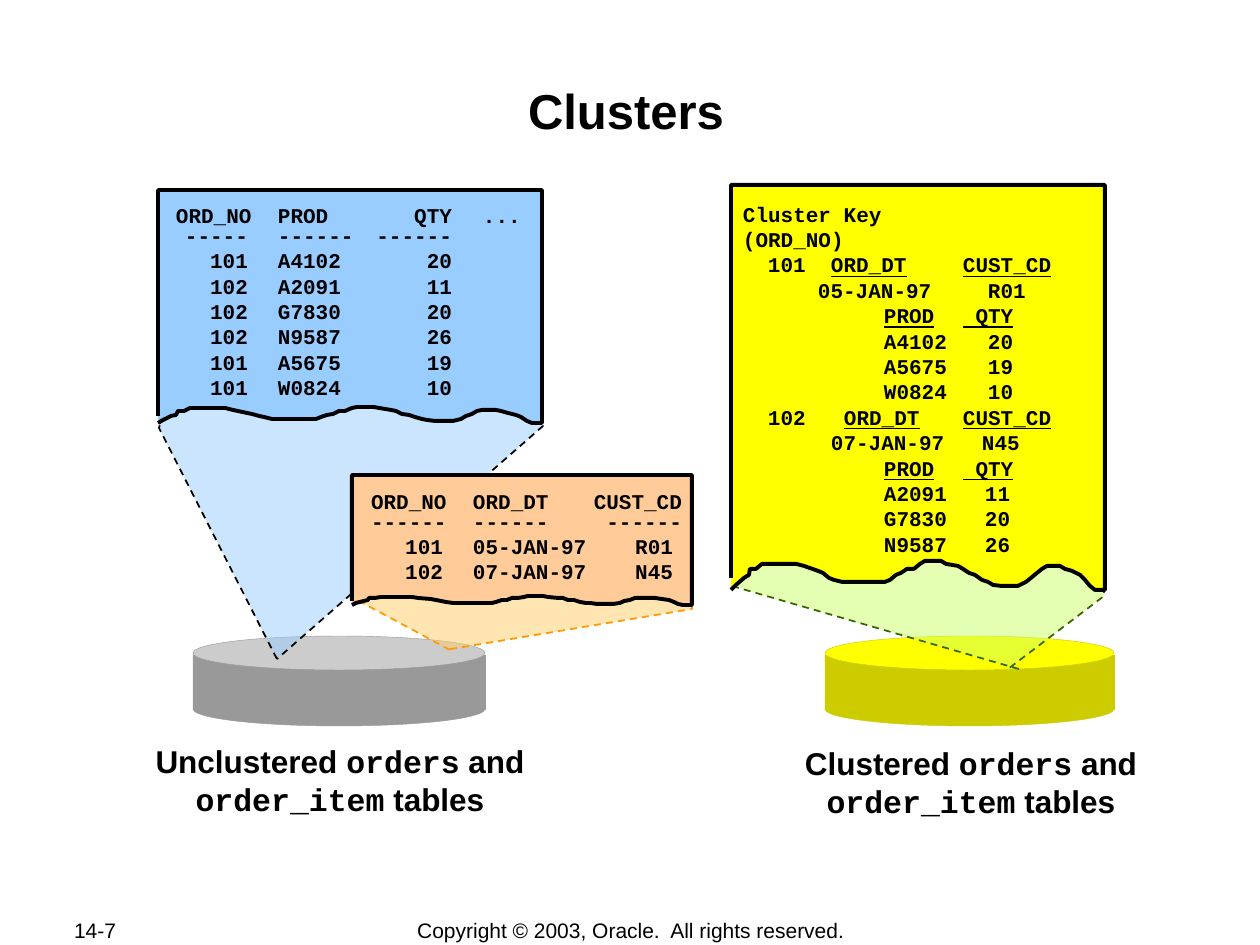
"""Build the Clusters slide comparing unclustered and clustered order tables."""
from dataclasses import dataclass
from typing import NamedTuple

from lxml import etree
from pptx import Presentation
from pptx import util as u
from pptx.dml.color import RGBColor
from pptx.enum import dml, shapes, text
from pptx.oxml import ns

SCALE = u.Inches(1) / 126
COLORS = {
    "black": "000000", "blue": "99CCFF", "peach": "FFCC99", "yellow": "FFFF00",
    "olive": "CCCC00", "gray": "999999", "silver": "CCCCCC", "lime": "CCFF66",
    "green": "336600", "amber": "FFCC66", "orange": "FF9900",
}
SANS, MONO = "Arial", "Courier New"
TORN_EDGE = [
    (1000, 100), (973, 100), (960, 87), (946, 65), (933, 48), (912, 35), (892, 26),
    (879, 17), (845, 17), (832, 26), (818, 43), (801, 57), (788, 74), (768, 87),
    (721, 87), (700, 83), (687, 74), (670, 65), (653, 48), (636, 43), (620, 26),
    (606, 17), (576, 9), (562, 0), (519, 0), (505, 9), (488, 26), (471, 26),
    (455, 43), (441, 48), (424, 65), (411, 74), (296, 74), (276, 65), (263, 57),
    (246, 43), (232, 35), (195, 17), (175, 9), (84, 9), (67, 26), (51, 26),
    (47, 48), (34, 57), (13, 83), (0, 100),
]
TORN_START = 57


class Area(NamedTuple):
    left: int
    top: int
    width: int
    height: int


class Tab(NamedTuple):
    position: int
    align: str = "l"


class Run(NamedTuple):
    text: str
    font: str = MONO
    underline: bool = False


@dataclass
class Line:
    runs: list[Run]
    tabs: tuple[Tab, ...] = ()
    space: float = 3


@dataclass
class Sheet:
    left: int
    top: int
    right: int
    crest: int
    bottom: int
    fill: str


@dataclass
class Beam:
    points: list[tuple[int, int]]
    fill: str
    line: str


@dataclass
class Drum:
    left: int
    width: int
    top_fill: str
    side_fill: str


@dataclass
class Order:
    number: str
    date: str
    customer: str
    items: list[tuple[str, str]]
    heading_at: int
    date_at: int
    customer_at: int
    quantity_at: int


def px(length: float) -> int:
    """Turn pixels into EMU."""
    return round(length * SCALE)


def rgb(name: str) -> RGBColor:
    """Look up a colour by name."""
    return RGBColor.from_string(COLORS[name])


def paint(shape, fill: str, line: str, width: float) -> None:
    """Give a shape a plain fill and outline without shadow."""
    shape.shadow.inherit = False
    shape.fill.solid()
    shape.fill.fore_color.rgb = rgb(fill)
    shape.line.color.rgb = rgb(line)
    shape.line.width = u.Pt(width)


def add_text(slide, area: Area, lines: list[Line], *, size: int = 12, bold: bool = True,
             align=text.PP_ALIGN.LEFT, anchor=text.MSO_ANCHOR.TOP,
             spacing: float = 1.0, wrap: bool = True) -> None:
    """Add a text box with one paragraph for each line."""
    frame = slide.shapes.add_textbox(*map(px, area)).text_frame
    frame.word_wrap = wrap
    frame.vertical_anchor = anchor
    frame.margin_left = frame.margin_right = px(11)
    frame.margin_top = frame.margin_bottom = px(6)
    for index, line in enumerate(lines):
        paragraph = frame.add_paragraph() if index else frame.paragraphs[0]
        paragraph.alignment = align
        paragraph.line_spacing = spacing
        paragraph.space_before = u.Pt(line.space if index else 0)
        if line.tabs:
            properties = paragraph._p.get_or_add_pPr()
            tab_list = etree.SubElement(properties, ns.qn("a:tabLst"))
            for tab in line.tabs:
                etree.SubElement(tab_list, ns.qn("a:tab"), pos=str(px(tab.position)), algn=tab.align)
        for part in line.runs:
            run = paragraph.add_run()
            run.text = part.text
            run.font.name = part.font
            run.font.size = u.Pt(size)
            run.font.bold = bold
            run.font.underline = part.underline
            run.font.color.rgb = rgb("black")


def add_outline(slide, points: list[tuple[float, float]]):
    """Draw an open freeform through the points."""
    builder = slide.shapes.build_freeform(*points[0], scale=SCALE)
    builder.add_line_segments(points[1:], close=False)
    return builder.convert_to_shape()


def add_sheet(slide, sheet: Sheet) -> None:
    """Draw a sheet with a torn lower edge."""
    width, depth = sheet.right - sheet.left, sheet.bottom - sheet.crest
    edge = [(sheet.left + width * x / 1000, sheet.crest + depth * y / 100) for x, y in TORN_EDGE]
    start = (sheet.left, sheet.crest + depth * TORN_START / 100)
    shape = add_outline(slide, [start, (sheet.left, sheet.top), (sheet.right, sheet.top), *edge])
    paint(shape, sheet.fill, "black", 2.25)
    etree.SubElement(shape.line._get_or_add_ln(), ns.qn("a:round"))


def add_beam(slide, beam: Beam) -> None:
    """Draw a half transparent beam with a dashed outline."""
    shape = add_outline(slide, beam.points)
    paint(shape, beam.fill, beam.line, 1)
    shape.line.dash_style = dml.MSO_LINE.DASH
    color = shape._element.spPr.find(ns.qn("a:solidFill"))[0]
    etree.SubElement(color, ns.qn("a:alpha"), val="50000")


def add_drum(slide, drum: Drum) -> None:
    """Draw a storage drum from a body, a top and a base."""
    kinds = shapes.MSO_SHAPE
    for kind, top, height, fill in ((kinds.RECTANGLE, 655, 54, drum.side_fill),
                                    (kinds.OVAL, 636, 34, drum.top_fill),
                                    (kinds.OVAL, 692, 34, drum.side_fill)):
        shape = slide.shapes.add_shape(kind, *map(px, (drum.left, top, drum.width, height)))
        paint(shape, fill, drum.side_fill, 0.25)


def table_lines(header: list[str], dashes: list[str], rows: list[str],
                header_tabs: tuple[Tab, ...], row_tabs: tuple[Tab, ...]) -> list[Line]:
    """Lay out a listing whose cells are set by tabs."""
    def line(cells: list[str], tabs: tuple[Tab, ...], space: float = 3) -> Line:
        return Line([Run("\t" + "\t".join(cells))], tabs, space)
    return [line(header, header_tabs), line(dashes, header_tabs, 0),
            *(line(row.split(), row_tabs) for row in rows)]


def order_lines(order: Order) -> list[Line]:
    """Lay out one clustered order with its items."""
    item_tabs = (Tab(141), Tab(order.quantity_at))
    return [
        Line([Run(f"\t{order.number}\t"), Run("ORD_DT\tCUST_CD", underline=True)],
             (Tab(25), Tab(order.heading_at), Tab(220))),
        Line([Run(f"\t{order.date}\t{order.customer}")], (Tab(order.date_at), Tab(order.customer_at))),
        Line([Run("\t"), Run("PROD\t QTY", underline=True)], (Tab(141), Tab(220))),
        *(Line([Run(f"\t{product}\t{quantity}")], item_tabs) for product, quantity in order.items),
    ]


def add_caption(slide, area: Area, kind: str) -> None:
    """Name the tables under a drum."""
    runs = [Run(f"{kind} ", SANS), Run("orders"), Run(" and ", SANS), Run("order_item"), Run(" tables", SANS)]
    add_text(slide, area, [Line(runs)], size=18, align=text.PP_ALIGN.CENTER)


def main() -> None:
    """Build and save the slide."""
    presentation = Presentation()
    presentation.slide_width, presentation.slide_height = px(1260), px(945)
    slide = presentation.slides.add_slide(presentation.slide_layouts[6])
    center, middle = text.PP_ALIGN.CENTER, text.MSO_ANCHOR.MIDDLE
    add_text(slide, Area(63, 917, 134, 26), [Line([Run("14-7", SANS)])], bold=False, anchor=middle, wrap=False)
    add_text(slide, Area(348, 917, 566, 26), [Line([Run("Copyright © 2003, Oracle.  All rights reserved.", SANS)])],
             bold=False, align=center, anchor=middle, wrap=False)
    add_drum(slide, Drum(825, 289, "yellow", "olive"))
    add_drum(slide, Drum(193, 292, "silver", "gray"))
    add_text(slide, Area(122, 74, 1008, 121), [Line([Run("Clusters", SANS)])], size=28, align=center)
    add_caption(slide, Area(782, 738, 378, 87), "Clustered")
    add_caption(slide, Area(118, 736, 444, 87), "Unclustered")

    add_beam(slide, Beam([(1019, 669), (732, 586), (732, 186), (1104, 186), (1104, 596), (1008, 669)], "lime", "green"))
    add_sheet(slide, Sheet(731, 185, 1105, 561, 590, "yellow"))
    orders = [Order("101", "05-JAN-97", "R01", [("A4102", "20"), ("A5675", "19"), ("W0824", "10")], 88, 75, 245, 245),
              Order("102", "07-JAN-97", "N45", [("A2091", "11"), ("G7830", "20"), ("N9587", "26")], 101, 88, 239, 242)]
    cluster = [Line([Run("Cluster Key")]), Line([Run("(ORD_NO)")])]
    cluster += [line for order in orders for line in order_lines(order)]
    add_text(slide, Area(732, 200, 375, 362), cluster, spacing=0.8)

    add_beam(slide, Beam([(277, 659), (159, 428), (170, 391), (528, 392), (543, 426), (277, 659)], "blue", "black"))
    add_beam(slide, Beam([(450, 650), (357, 600), (357, 476), (692, 476), (692, 609), (445, 650)], "amber", "orange"))
    add_sheet(slide, Sheet(352, 475, 692, 596, 605, "peach"))
    key_tabs = (Tab(72, "r"), Tab(102))
    order_table = table_lines(["ORD_NO", "ORD_DT", "CUST_CD"], ["------"] * 3,
                              ["101 05-JAN-97 R01", "102 07-JAN-97 N45"],
                              (*key_tabs, Tab(311, "r")), (*key_tabs, Tab(302, "r")))
    add_text(slide, Area(360, 487, 357, 129), order_table, spacing=0.8)
    add_sheet(slide, Sheet(158, 190, 542, 407, 423, "blue"))
    item_tabs = (*key_tabs, Tab(276, "r"), Tab(307))
    item_table = table_lines(["ORD_NO", "PROD", "QTY", "..."], ["-----", "------", "------"],
                             ["101 A4102 20", "102 A2091 11", "102 G7830 20", "102 N9587 26",
                              "101 A5675 19", "101 W0824 10"], item_tabs, item_tabs)
    add_text(slide, Area(165, 201, 378, 204), item_table, spacing=0.8)
    presentation.save("out.pptx")


if __name__ == "__main__":
    main()
